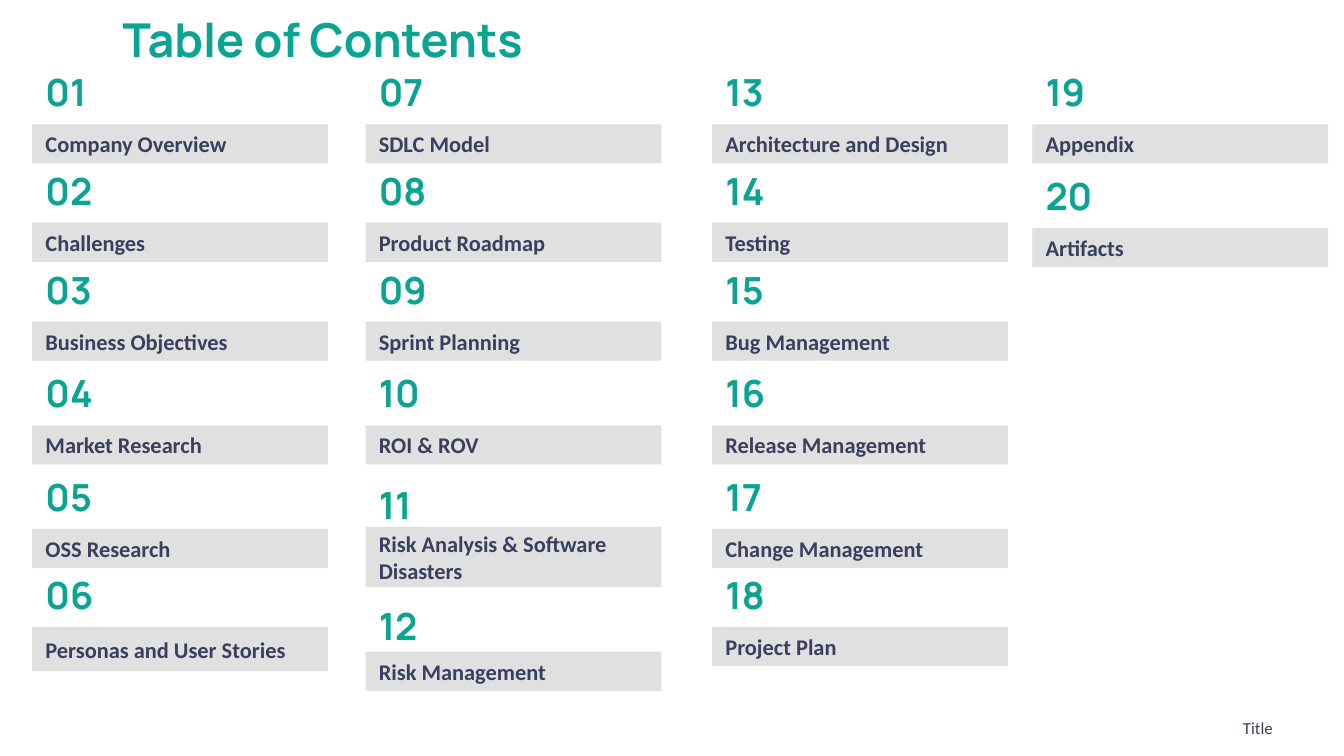
from pptx import Presentation
from pptx.dml.color import RGBColor
from pptx.enum.shapes import MSO_SHAPE
from pptx.enum.text import MSO_ANCHOR, MSO_AUTO_SIZE, PP_ALIGN
from pptx.util import Cm, Pt

RECTANGLE = MSO_SHAPE.RECTANGLE
TOP, MIDDLE = MSO_ANCHOR.TOP, MSO_ANCHOR.MIDDLE
LEFT, CENTER = PP_ALIGN.LEFT, PP_ALIGN.CENTER
NO_AUTOFIT = MSO_AUTO_SIZE.NONE

GREEN, NAVY, GREY = "0BA391", "3A3E5F", "E0E0E0"


def color(hex_string):
    return RGBColor.from_string(hex_string)


def write(shape, text, *, size, font="Calibri", ink=NAVY, bold=True,
          align=LEFT, anchor=MIDDLE):
    frame = shape.text_frame
    frame.auto_size = NO_AUTOFIT
    frame.word_wrap = True
    frame.vertical_anchor = anchor
    frame.margin_left = frame.margin_right = Cm(0.25)
    frame.margin_top = frame.margin_bottom = Cm(0.25)
    paragraph = frame.paragraphs[0]
    paragraph.alignment = align
    run = paragraph.add_run()
    run.text = text
    run.font.size = Pt(size)
    run.font.name = font
    run.font.bold = bold
    run.font.color.rgb = color(ink)


deck = Presentation()
deck.slide_width, deck.slide_height = Cm(25.4), Cm(14.29)
slide = deck.slides.add_slide(deck.slide_layouts[5])

# Heading
heading = slide.shapes.title
heading.left, heading.top = Cm(0), Cm(-0.2)
heading.width, heading.height = Cm(12.19), Cm(1.88)
write(heading, "Table of Contents", size=25, font="Manrope", ink=GREEN,
      align=CENTER)

# Chapters by column: left edge and names
columns = [
    (0.61, ["Company Overview", "Challenges", "Business Objectives",
            "Market Research", "OSS Research", "Personas and User Stories"]),
    (6.91, ["SDLC Model", "Product Roadmap", "Sprint Planning", "ROI & ROV",
            "Risk Analysis & Software Disasters", "Risk Management"]),
    (13.46, ["Architecture and Design", "Testing", "Bug Management",
             "Release Management", "Change Management", "Project Plan"]),
    (19.51, ["Appendix", "Artifacts"]),
]
row_tops = [1.32, 3.18, 5.05, 7.01, 8.97, 10.82]
column_width, number_height = 5.59, 0.84
bar_offset, bar_height = 1.03, 0.74

# Chapters off the grid: number top, bar top, bar height
exceptions = {
    6: (10.82, 11.85, 0.84),
    11: (9.12, 9.96, 1.14),
    12: (11.4, 12.32, bar_height),
    20: (3.28, 4.31, bar_height),
}

chapter = 0
for left, names in columns:
    for name, row_top in zip(names, row_tops):
        chapter += 1
        number_top, bar_top, height = exceptions.get(
            chapter, (row_top, row_top + bar_offset, bar_height))

        number = slide.shapes.add_textbox(
            Cm(left), Cm(number_top), Cm(column_width), Cm(number_height))
        write(number, f"{chapter:02}", size=20, font="Manrope", ink=GREEN)

        bar = slide.shapes.add_shape(
            RECTANGLE, Cm(left), Cm(bar_top), Cm(column_width), Cm(height))
        bar.shadow.inherit = False
        bar.fill.solid()
        bar.fill.fore_color.rgb = color(GREY)
        bar.line.fill.background()
        write(bar, name, size=12)

# Footer
footer = slide.shapes.add_textbox(Cm(23.24), Cm(13.41), Cm(1.5), Cm(0.33))
write(footer, "Title", size=9, bold=False, anchor=TOP)

deck.save("out.pptx")
